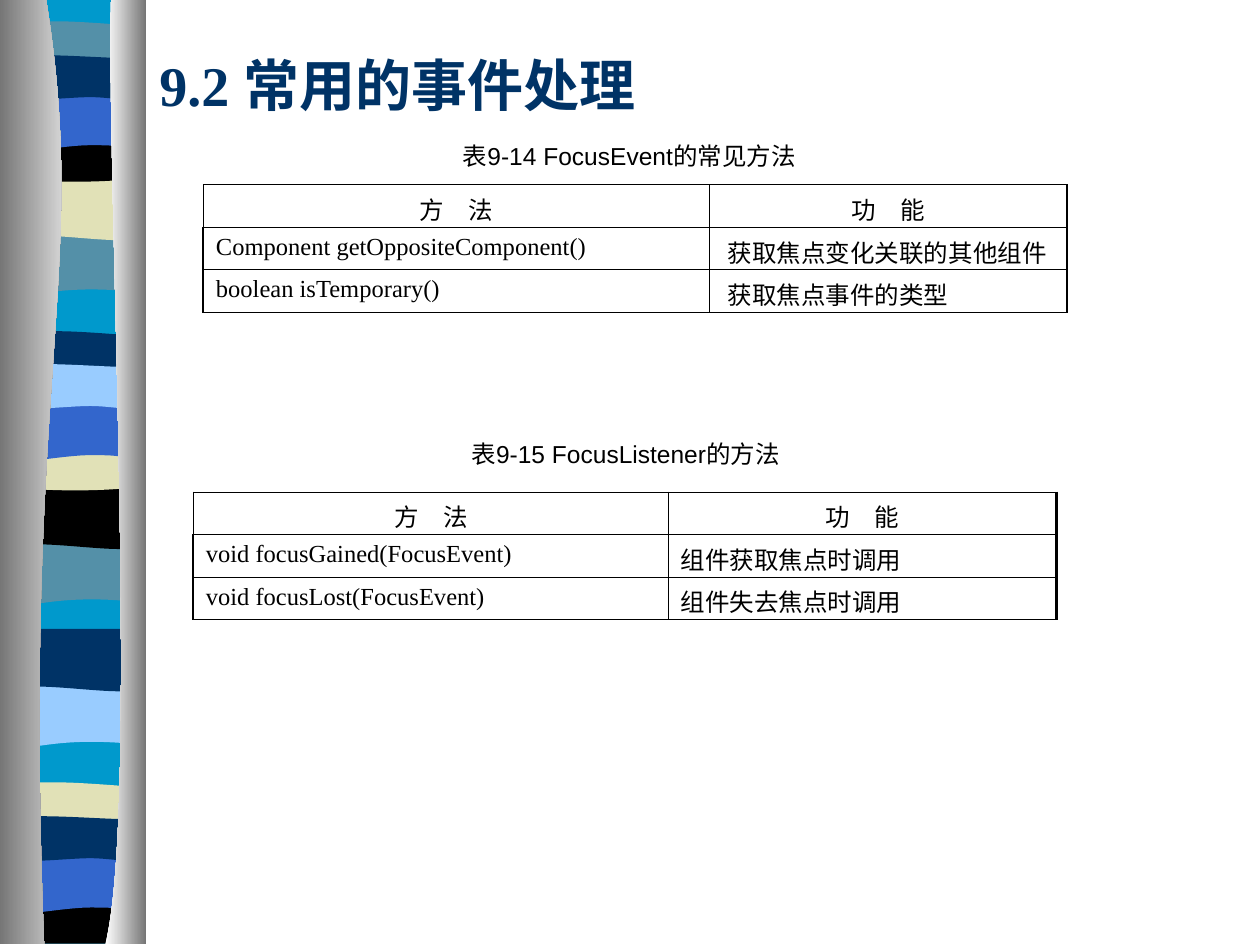
import lxml.etree
import pptx
import pptx.dml.color
import pptx.enum.shapes
import pptx.enum.text
import pptx.oxml.ns
import pptx.util

Pt = pptx.util.Pt
RGBColor = pptx.dml.color.RGBColor
Align = pptx.enum.text.PP_ALIGN
Anchor = pptx.enum.text.MSO_ANCHOR
AutoSize = pptx.enum.text.MSO_AUTO_SIZE
qn = pptx.oxml.ns.qn

BLACK = RGBColor(0x00, 0x00, 0x00)
NAVY = RGBColor(0x00, 0x33, 0x66)
BLUE = RGBColor(0x33, 0x66, 0xCC)
CYAN = RGBColor(0x00, 0x99, 0xCC)
SKY = RGBColor(0x99, 0xCC, 0xFF)
TEAL = RGBColor(0x54, 0x90, 0xA8)
SAND = RGBColor(0xE1, 0xE1, 0xB7)
GREY = RGBColor(0x76, 0x76, 0x76)
WHITE = RGBColor(0xFF, 0xFF, 0xFF)

SERIF = "Times New Roman"
SANS = "Arial"
THIN = 0.5
THICK = 1.5

BAND_OUTLINES = {
    "drip": [(78, 0), (78, 34), (24, 28, 13, 39.5, 0, 34), (0, 0)],
    "swell": [(78, 0), (78, 34), (65, 39.5, 24, 30, 0, 34), (0, 0)],
    "arch": [(78, 3.6), (78, 21), (65, 24, 13, 24, 0, 21), (0, 3.6),
             (4.5, 0, 17, 0.7, 30, 0.7), (42, 0.7, 68, 2.9, 78, 3.6)],
    "dish": [(78, 0), (78, 23), (65, 27, 13, 27, 0, 23), (0, 0), (47.5, 3.6, 61, 0, 78, 0)],
    "base": [(78, 0), (78, 26.6), (0, 26.6), (0, 0), (47.5, 3.6, 61, 0, 78, 0)],
    "hump": [(78, 0), (78, 34), (65.5, 29.7, 60.5, 29.7, 47.5, 29.7),
             (34.5, 29.7, 11.5, 34, 0, 34), (0, 0)],
    "wave": [(78, 3.6), (78, 26), (73, 29.5, 60.5, 26, 47.5, 26), (34.5, 26, 8, 29.5, 0, 26),
             (0, 3.6), (11, 0, 52.5, 3.6, 65.5, 3.6), (78.5, 3.6, 75, 3.6, 78, 3.6)],
}
BANDS = [
    ("drip", 133.2, TEAL), ("swell", 101.5, SAND), ("arch", 11.5, TEAL),
    ("dish", 77.8, BLACK), ("hump", 53.3, BLUE), ("wave", 29.5, NAVY),
    ("drip", 310.3, TEAL), ("swell", 278, BLACK), ("arch", 188.6, NAVY),
    ("dish", 254.2, SAND), ("hump", 230.4, BLUE), ("wave", 206, SKY),
    ("drip", 391.7, SKY), ("swell", 359.3, NAVY), ("arch", 446.4, SAND),
    ("base", 512.6, BLACK), ("hump", 488.9, BLUE), ("wave", 464.4, NAVY),
]
LEFT_CURTAIN = [(26.4, 0), (51.5, 156, 12.4, 213, 25.2, 539.3), (0, 539.3), (0, 0)]
RIGHT_CURTAIN = [(20, 0), (17, 91, 36.5, 465, 16.7, 539.3), (40, 539.3), (40, 0)]

FOCUS_EVENT_ROWS = [
    ("方　法", "功　能"),
    ("Component getOppositeComponent()", "获取焦点变化关联的其他组件"),
    ("boolean isTemporary()", "获取焦点事件的类型"),
]
FOCUS_LISTENER_ROWS = [
    ("方　法", "功　能"),
    ("void focusGained(FocusEvent)", "组件获取焦点时调用"),
    ("void focusLost(FocusEvent)", "组件失去焦点时调用"),
]


def write_text(frame, text, *, font=SERIF, size=14, color=BLACK, bold=False, align=Align.LEFT):
    """Write one formatted paragraph into a text frame."""
    paragraph = frame.paragraphs[0]
    paragraph.alignment = align
    run = paragraph.add_run()
    run.text = text
    run.font.name = font
    run.font.size = Pt(size)
    run.font.bold = bold
    run.font.color.rgb = color


def add_text_box(slide, box, text, wrap=True, auto_size=AutoSize.NONE, **text_format):
    """Add a vertically centred text box."""
    frame = slide.shapes.add_textbox(*map(Pt, box)).text_frame
    frame.word_wrap = wrap
    frame.auto_size = auto_size
    frame.vertical_anchor = Anchor.MIDDLE
    write_text(frame, text, **text_format)


def add_caption(slide, box, text, wrap):
    """Add a centred table caption that fits its text."""
    add_text_box(slide, box, text, wrap=wrap, auto_size=AutoSize.SHAPE_TO_FIT_TEXT,
                 font=SANS, align=Align.CENTER)


def add_outline(slide, left, top, outline):
    """Add a closed borderless outline of lines and cubic curves."""
    vertices = [(Pt(left + part[i]), Pt(top + part[i + 1]))
                for part in outline for i in range(0, len(part), 2)]
    builder = slide.shapes.build_freeform(*vertices[0])
    builder.add_line_segments(vertices[1:], close=True)
    shape = builder.convert_to_shape()
    shape.shadow.inherit = False
    shape.line.fill.background()
    segments = iter(list(shape._element.iter(qn("a:lnTo"))))
    for part in outline[1:]:
        segment = next(segments)
        if len(part) == 6:
            curve = lxml.etree.Element(qn("a:cubicBezTo"))
            segment.addprevious(curve)
            for control in (segment, next(segments), next(segments)):
                curve.append(control[0])
                control.getparent().remove(control)
    return shape


def fill_solid(shape, color):
    """Fill a shape with one colour."""
    shape.fill.solid()
    shape.fill.fore_color.rgb = color


def fill_gradient(shape, first, last):
    """Fill a shape with a gradient from left to right."""
    shape.fill.gradient()
    shape.fill.gradient_angle = 0
    for stop, color, position in zip(shape.fill.gradient_stops, (first, last), (0, 1)):
        stop.color.rgb = color
        stop.position = position


def add_ribbon(slide, left, top, width, height):
    """Add the striped ribbon between its two curtains."""
    strip = slide.shapes.add_shape(pptx.enum.shapes.MSO_SHAPE.RECTANGLE,
                                   Pt(left + 4), Pt(top), Pt(78), Pt(height))
    strip.shadow.inherit = False
    strip.line.fill.background()
    fill_solid(strip, CYAN)
    for kind, band_top, color in BANDS:
        fill_solid(add_outline(slide, left + 4, top + band_top, BAND_OUTLINES[kind]), color)
    fill_gradient(add_outline(slide, left, top, LEFT_CURTAIN), GREY, WHITE)
    fill_gradient(add_outline(slide, left + width - 40, top, RIGHT_CURTAIN), WHITE, GREY)


def set_borders(cell, **widths):
    """Draw black cell borders of the given widths."""
    properties = cell._tc.get_or_add_tcPr()
    for side in "LRTB":
        line = lxml.etree.SubElement(properties, qn(f"a:ln{side}"),
                                     w=str(Pt(widths.get(side, THIN))))
        fill = lxml.etree.SubElement(line, qn("a:solidFill"))
        lxml.etree.SubElement(fill, qn("a:srgbClr"), val=str(BLACK))


def add_method_table(slide, box, rows, column_widths, description_margin):
    """Add a two-column table of methods and what they do."""
    table = slide.shapes.add_table(len(rows), len(column_widths), *map(Pt, box)).table
    table.first_row = table.horz_banding = False
    for column, width in zip(table.columns, column_widths):
        column.width = Pt(width)
    for row_index, row in enumerate(rows):
        table.rows[row_index].height = Pt(box[3] / len(rows))
        for column_index, text in enumerate(row):
            cell = table.cell(row_index, column_index)
            is_header = row_index == 0
            is_description = column_index == 1
            set_borders(cell, L=THIN if is_header or is_description else THICK,
                        R=THICK if is_description else THIN)
            cell.fill.background()
            if is_description and not is_header:
                cell.margin_left = Pt(description_margin)
            write_text(cell.text_frame, text, align=Align.CENTER if is_header else Align.LEFT)


def main():
    """Build the slide and save it."""
    presentation = pptx.Presentation()
    presentation.slide_width, presentation.slide_height = Pt(720), Pt(540)
    slide = presentation.slides.add_slide(presentation.slide_layouts[6])
    add_ribbon(slide, 0, 0, 83.5, 539.3)
    add_text_box(slide, (84, 24, 612, 48), "9.2 常用的事件处理", size=32, color=NAVY, bold=True)
    add_caption(slide, (254.2, 77, 211, 24.5), "表9-14 FocusEvent的常见方法", wrap=False)
    add_method_table(slide, (116.2, 105.5, 493.4, 72.9), FOCUS_EVENT_ROWS, (289.2, 204.2), 10.4)
    add_caption(slide, (246.7, 247, 221.8, 24.5), "表9-15 FocusListener的方法", wrap=True)
    add_method_table(slide, (110.4, 281.2, 493.4, 72.9), FOCUS_LISTENER_ROWS, (271.6, 221.8), 6.9)
    presentation.save("out.pptx")


if __name__ == "__main__":
    main()
